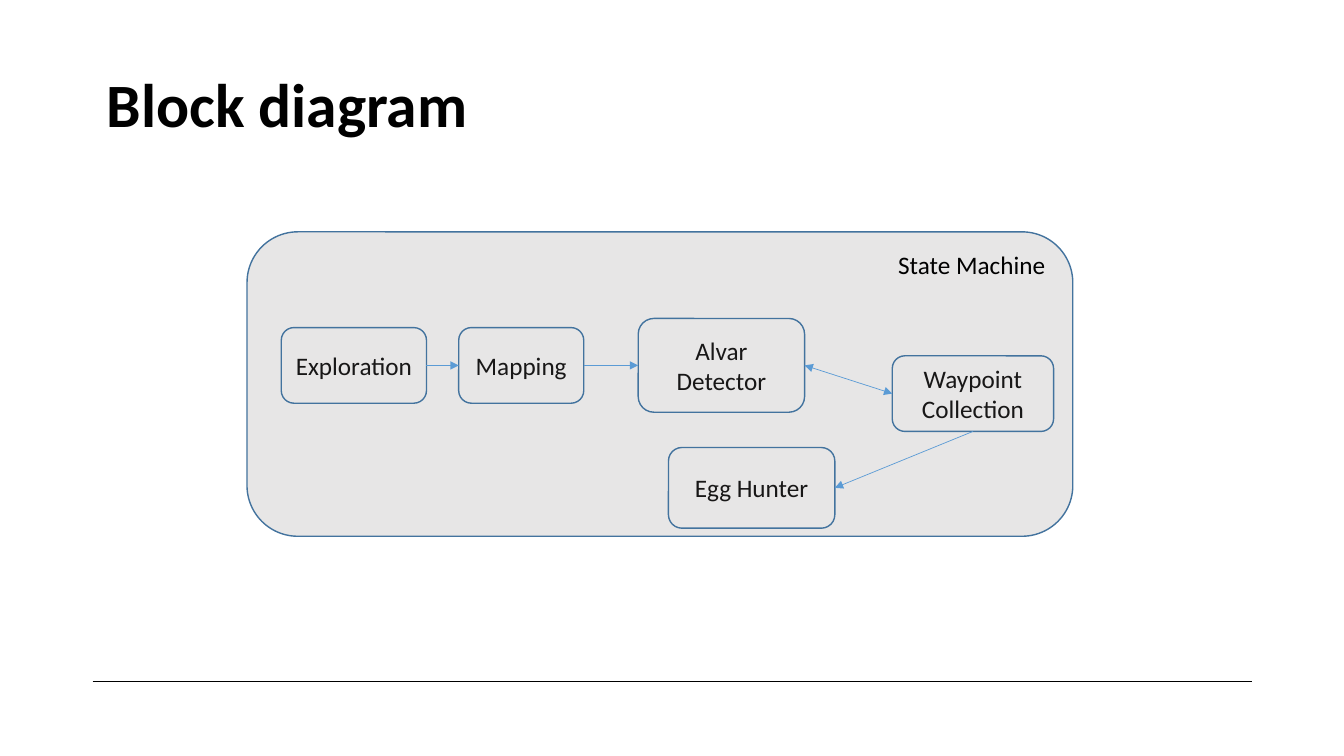
"""Build a slide with the block diagram of a state machine."""
import lxml.etree
import pptx
import pptx.dml.color
import pptx.enum.shapes
import pptx.enum.text
import pptx.oxml.ns
import pptx.util

Inches = pptx.util.Inches
Anchor = pptx.enum.text.MSO_ANCHOR
Align = pptx.enum.text.PP_ALIGN
BLACK = pptx.dml.color.RGBColor(0x00, 0x00, 0x00)
INK = pptx.dml.color.RGBColor(0x18, 0x17, 0x17)
GREY = pptx.dml.color.RGBColor(0xE7, 0xE6, 0xE6)
OUTLINE = pptx.dml.color.RGBColor(0x43, 0x73, 0x9E)
ARROW = pptx.dml.color.RGBColor(0x5B, 0x9B, 0xD5)
TOP, LEFT, BOTTOM, RIGHT = range(4)

BLOCKS = {
    "Exploration": (0.34, 0.95, 1.44, 0.75),
    "Mapping": (2.1, 0.95, 1.24, 0.75),
    "Alvar Detector": (3.88, 0.86, 1.65, 0.93),
    "Egg Hunter": (4.18, 2.14, 1.65, 0.8),
    "Waypoint Collection": (6.4, 1.23, 1.6, 0.75),
}
LINKS = [
    ("Exploration", RIGHT, "Mapping", LEFT, ["tailEnd"]),
    ("Mapping", RIGHT, "Alvar Detector", LEFT, ["tailEnd"]),
    ("Alvar Detector", RIGHT, "Waypoint Collection", LEFT, ["headEnd", "tailEnd"]),
    ("Waypoint Collection", BOTTOM, "Egg Hunter", RIGHT, ["tailEnd"]),
]


def write_text(shape, text, size=18, color=INK, bold=False, align=Align.CENTER,
               anchor=Anchor.MIDDLE, spacing=None):
    """Write one formatted paragraph into a shape."""
    frame = shape.text_frame
    frame.word_wrap = True
    frame.vertical_anchor = anchor
    para = frame.paragraphs[0]
    para.alignment = align
    para.line_spacing = spacing
    span = para.add_run()
    span.text = text
    span.font.name = "Calibri"
    span.font.size = pptx.util.Pt(size)
    span.font.bold = bold
    span.font.color.rgb = color


def add_text_box(page, box, text, **style):
    """Add a text box at a box given in inches."""
    write_text(page.shapes.add_textbox(*map(Inches, box)), text, **style)


def add_block(page, box):
    """Add a grey rounded rectangle and return it."""
    block = page.shapes.add_shape(
        pptx.enum.shapes.MSO_SHAPE.ROUNDED_RECTANGLE, *map(Inches, box))
    block.shadow.inherit = False
    block.fill.solid()
    block.fill.fore_color.rgb = GREY
    block.line.color.rgb = OUTLINE
    block.line.width = pptx.util.Pt(1)
    return block


def add_line(page, start, end, color, width, heads=()):
    """Add a straight line with optional arrowheads and return it."""
    line = page.shapes.add_connector(
        pptx.enum.shapes.MSO_CONNECTOR.STRAIGHT, *map(Inches, start + end))
    line.line.color.rgb = color
    line.line.width = pptx.util.Pt(width)
    properties = line._element.spPr
    outline = properties.find(pptx.oxml.ns.qn("a:ln"))
    for head in heads:
        lxml.etree.SubElement(outline, pptx.oxml.ns.qn(f"a:{head}"), type="triangle")
    lxml.etree.SubElement(properties, pptx.oxml.ns.qn("a:effectLst"))
    return line


def add_frame(page, box):
    """Add the slide title and the footer rule inside the box."""
    left, top, width, height = box
    add_text_box(page, (left + 0.04, top, 11.18, 0.8), "Block diagram", size=44,
                 color=BLACK, bold=True, align=Align.LEFT, spacing=0.9)
    bottom = top + height
    add_line(page, (left, bottom), (left + width, bottom), BLACK, 0.25)


def add_state_machine(page, box):
    """Add the state machine panel with its blocks and links."""
    left, top, width, height = box
    add_block(page, box)
    add_text_box(page, (left + 6.36, top + 0.12, 1.68, 0.4), "State Machine",
                 color=BLACK, align=Align.LEFT, anchor=Anchor.TOP)
    blocks = {}
    for name, (across, down, block_width, block_height) in BLOCKS.items():
        blocks[name] = add_block(
            page, (left + across, top + down, block_width, block_height))
        write_text(blocks[name], name)
    for source, source_side, target, target_side, heads in LINKS:
        link = add_line(page, (left, top), (left, top), ARROW, 0.5, heads)
        link.begin_connect(blocks[source], source_side)
        link.end_connect(blocks[target], target_side)


def main():
    """Build the deck and save it."""
    deck = pptx.Presentation()
    deck.slide_width = Inches(13.33)
    deck.slide_height = Inches(7.5)
    page = deck.slides.add_slide(deck.slide_layouts[6])
    add_frame(page, (0.92, 0.67, 11.5, 6.09))
    add_state_machine(page, (2.45, 2.3, 8.19, 3.02))
    deck.save("out.pptx")


if __name__ == "__main__":
    main()
